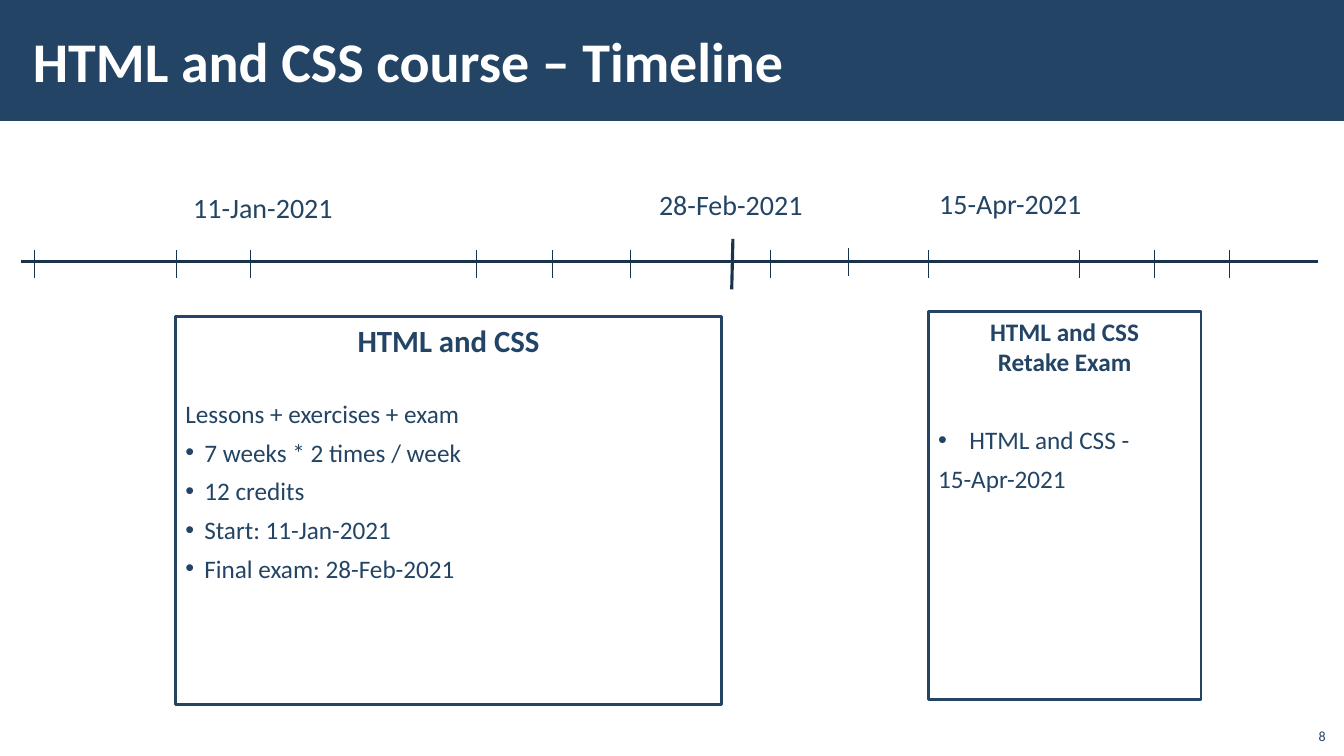
from dataclasses import dataclass

from lxml.etree import SubElement
from pptx import Presentation
from pptx.dml.color import RGBColor
from pptx.enum.shapes import MSO_CONNECTOR as Connector, MSO_SHAPE as Shape
from pptx.enum.text import MSO_ANCHOR as Anchor, PP_ALIGN as Align
from pptx.oxml.ns import qn
from pptx.util import Cm, Pt


@dataclass(frozen=True)
class Theme:
    font: str = "Calibri"
    navy: RGBColor = RGBColor(0x23, 0x44, 0x65)
    dark: RGBColor = RGBColor(0x1A, 0x33, 0x4C)
    white: RGBColor = RGBColor(0xFF, 0xFF, 0xFF)
    title: int = 40
    heading: int = 22
    date: int = 20
    body: int = 18
    number: int = 10


class Page:
    def __init__(self, deck, theme):
        self.theme = theme
        self.shapes = deck.slides.add_slide(deck.slide_layouts[6]).shapes

    def rectangle(self, left, top, width, height, fill, outline=None):
        box = self.shapes.add_shape(Shape.RECTANGLE, Cm(left), Cm(top), Cm(width), Cm(height))
        box.shadow.inherit = False
        box.fill.solid()
        box.fill.fore_color.rgb = fill
        if outline is None:
            box.line.fill.background()
        else:
            box.line.color.rgb = outline
            box.line.width = Pt(2)
        return box

    def line(self, start, end, width):
        line = self.shapes.add_connector(Connector.STRAIGHT, *map(Cm, (*start, *end)))
        line.line.color.rgb = self.theme.dark
        line.line.width = Pt(width)
        SubElement(line._element.spPr, qn("a:effectLst"))

    def style(self, para, size, color=None, bold=False, align=Align.LEFT, before=0, after=0):
        para.alignment = align
        para.space_before, para.space_after = Pt(before), Pt(after)
        for span in para.runs:
            span.font.name = self.theme.font
            span.font.size = Pt(size)
            span.font.bold = bold
            span.font.color.rgb = color or self.theme.navy

    def text(self, left, top, width, height, text, size, anchor=Anchor.TOP, wrap=True, **style):
        box = self.shapes.add_textbox(Cm(left), Cm(top), Cm(width), Cm(height))
        frame = box.text_frame
        frame.word_wrap = wrap
        frame.vertical_anchor = anchor
        frame.text = text
        self.style(frame.paragraphs[0], size, **style)

    def bullet(self, para, indent):
        properties = para._p.get_or_add_pPr()
        properties.set("marL", str(Cm(indent)))
        properties.set("indent", str(-Cm(indent)))
        SubElement(properties, qn("a:buFont"), typeface="Arial")
        SubElement(properties, qn("a:buChar"), char="•")

    def card(self, left, top, width, heading, size, gap, lines, indent, before, after):
        box = self.rectangle(left, top, width, 9.78, self.theme.white, self.theme.navy)
        frame = box.text_frame
        frame.word_wrap = True
        frame.vertical_anchor = Anchor.TOP
        frame.text = heading
        self.style(frame.paragraphs[0], size, bold=True, align=Align.CENTER, before=3, after=gap)
        for text, bulleted in lines:
            para = frame.add_paragraph()
            para.text = text
            self.style(para, self.theme.body, before=before, after=after)
            if bulleted:
                self.bullet(para, indent)


def main():
    theme = Theme()
    deck = Presentation()
    deck.slide_width, deck.slide_height = Cm(33.87), Cm(19.05)
    page = Page(deck, theme)

    page.rectangle(0, 0, 33.87, 3.05, theme.navy)
    page.text(0.58, 0.28, 27, 2.46, "HTML and CSS course – Timeline", theme.title,
              Anchor.MIDDLE, color=theme.white, bold=True)

    page.line((0.53, 6.6), (33.22, 6.6), 2.25)
    page.line((18.47, 6.02), (18.44, 7.29), 2.25)
    for x in (0.86, 4.45, 6.32, 12.01, 13.92, 15.88, 19.41, 23.39, 27.2, 29.08, 30.99):
        page.line((x, 6.3), (x, 7.01), 0.5)
    page.line((21.39, 6.25), (21.39, 6.96), 0.5)

    for left, top, date in ((4.62, 4.67, "11-Jan-2021"),
                            (16.36, 4.6, "28-Feb-2021"),
                            (23.42, 4.57, "15-Apr-2021")):
        page.text(left, top, 4.15, 1.11, date, theme.date, wrap=False)

    page.card(4.42, 7.98, 13.77, "HTML and CSS", theme.heading, 22.5,
              (("Lessons + exercises + exam", False),
               ("7 weeks * 2 times / week", True),
               ("12 credits", True),
               ("Start: 11-Jan-2021", True),
               ("Final exam: 28-Feb-2021", True)),
              indent=0.48, before=6, after=0)
    page.card(23.39, 7.85, 6.88, "HTML and CSS\vRetake Exam", theme.body, 31,
              (("HTML and CSS -", True), ("15-Apr-2021", False)),
              indent=0.79, before=3, after=3)

    page.text(32.64, 18.08, 1.02, 0.81, "8", theme.number, Anchor.BOTTOM, align=Align.RIGHT)
    deck.save("out.pptx")


if __name__ == "__main__":
    main()
